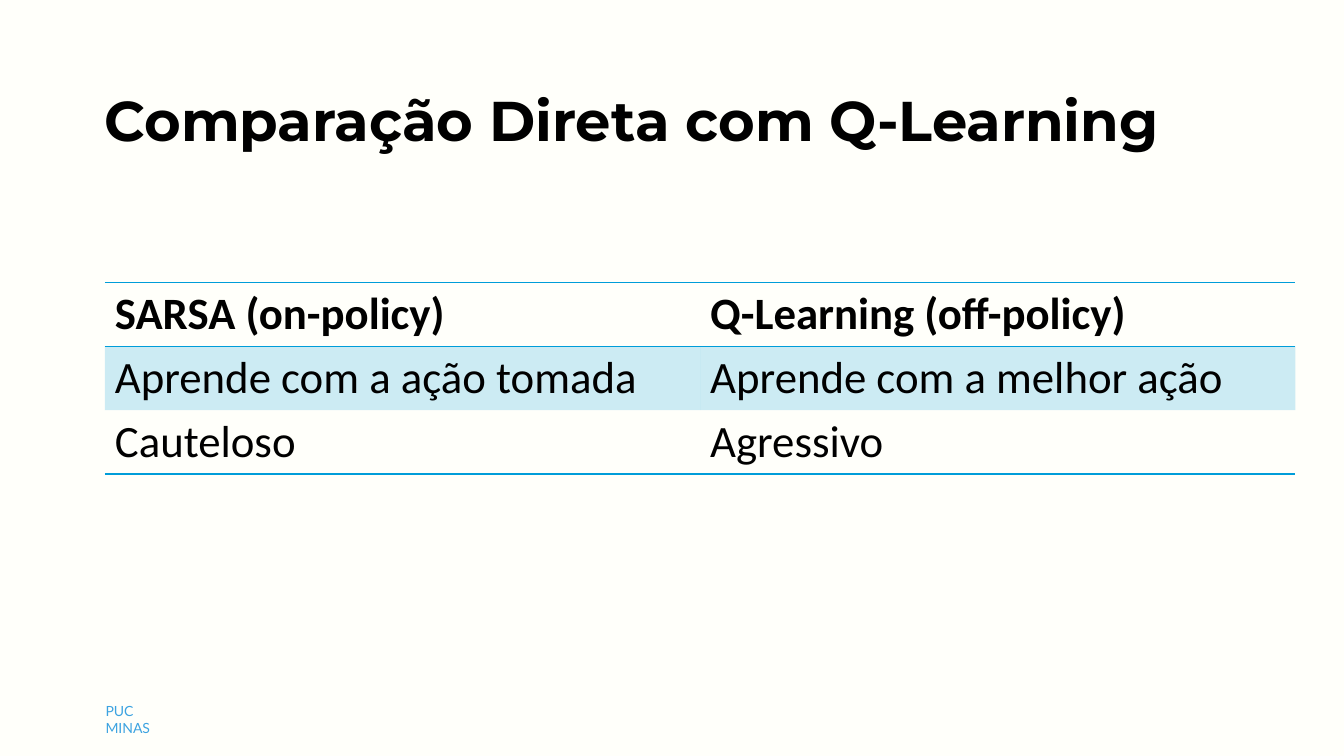
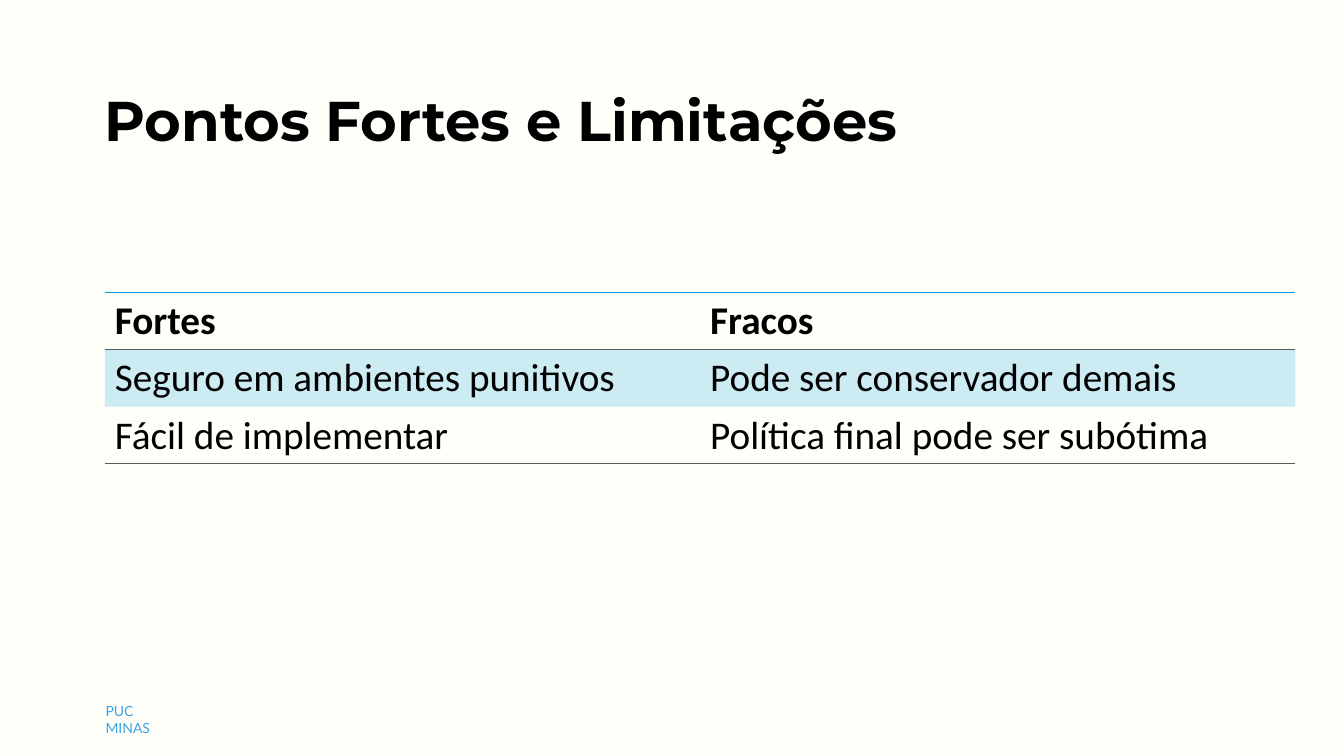
import pptx
import pptx.dml.color
import pptx.enum.text
import pptx.oxml
import pptx.oxml.ns
import pptx.util

Pt = pptx.util.Pt
ANCHOR = pptx.enum.text.MSO_ANCHOR

COLORS = {
    "background": "FFFFFA",
    "text": "000000",
    "accent": "009DD9",
    "footer": "3CA3E1",
    "gray": "595959",
}
TITLE = {"name": "Montserrat", "size": Pt(40), "bold": True}
FOOTER = {"name": "Lato", "size": Pt(10), "bold": False}
PLAIN_TABLE_STYLE = "{2D5ABB26-0587-4C30-8999-92F81FD0307C}"
COLUMN_WIDTH = 425.25
TABLE_LEFT = 74.9
TABLE_MIDDLE = 270


def rgb(color):
    return pptx.dml.color.RGBColor.from_string(COLORS[color])


def write(frame, text, style, color):
    span = frame.paragraphs[0].add_run()
    span.text = text
    for name, value in style.items():
        setattr(span.font, name, value)
    span.font.color.rgb = rgb(color)


def add_text(page, text, place, style, color, margins):
    box = page.shapes.add_textbox(*map(Pt, place))
    frame = box.text_frame
    frame.word_wrap = True
    frame.margin_left = frame.margin_right = Pt(margins[0])
    frame.margin_top = frame.margin_bottom = Pt(margins[1])
    write(frame, text, style, color)


def add_page(deck, title):
    """Add a page with the shared background, footer and title."""
    page = deck.slides.add_slide(deck.slide_layouts[6])
    fill = page.background.fill
    fill.solid()
    fill.fore_color.rgb = rgb("background")
    add_text(page, "PUC MINAS", (75.4, 501.8, 47.5, 24), FOOTER, "footer", (0, 0))
    add_text(page, title, (67.7, 57.6, 836, 55.4), TITLE, "text", (7.2, 3.6))
    return page


def add_border(cell, side, color):
    namespace = pptx.oxml.ns.nsdecls("a")
    cell._tc.get_or_add_tcPr().append(pptx.oxml.parse_xml(
        f'<a:{side} {namespace} w="{Pt(1)}"><a:solidFill>'
        f'<a:srgbClr val="{COLORS[color]}"/></a:solidFill></a:{side}>'))


def shade(cell, opacity):
    """Fill a cell with the accent colour at an opacity in percent."""
    cell.fill.solid()
    cell.fill.fore_color.rgb = rgb("accent")
    color = cell._tc.tcPr.find(".//" + pptx.oxml.ns.qn("a:srgbClr"))
    alpha = color.makeelement(pptx.oxml.ns.qn("a:alpha"), {"val": str(opacity * 1000)})
    color.append(alpha)


def add_comparison(page, rows, size, row_height, anchor, rule):
    """Add a table centred on TABLE_MIDDLE, with ruled header and last row."""
    height = row_height * len(rows)
    table = page.shapes.add_table(
        len(rows), len(rows[0]), Pt(TABLE_LEFT), Pt(TABLE_MIDDLE - height / 2),
        Pt(COLUMN_WIDTH * len(rows[0])), Pt(height)).table
    table.first_row = table.horz_banding = False
    table._tbl.tblPr.find(pptx.oxml.ns.qn("a:tableStyleId")).text = PLAIN_TABLE_STYLE
    for index, texts in enumerate(rows):
        is_header = index == 0
        style = {"name": "Calibri", "size": Pt(size), "bold": is_header}
        for column, text in enumerate(texts):
            cell = table.cell(index, column)
            cell.vertical_anchor = anchor
            write(cell.text_frame, text, style, "text")
            if is_header:
                add_border(cell, "lnT", "accent")
            if is_header or index == len(rows) - 1:
                add_border(cell, "lnB", rule)
            if index % 2:
                shade(cell, 20)
            else:
                cell.fill.background()


def main():
    deck = pptx.Presentation()
    deck.slide_width, deck.slide_height = Pt(960), Pt(540)

    page = add_page(deck, "Comparação Direta com Q-Learning")
    add_comparison(page, [
        ("SARSA (on-policy)", "Q-Learning (off-policy)"),
        ("Aprende com a ação tomada", "Aprende com a melhor ação"),
        ("Cauteloso", "Agressivo"),
    ], 32, 45.6, ANCHOR.MIDDLE, "accent")

    page = add_page(deck, "Pontos Fortes e Limitações")
    add_comparison(page, [
        ("Fortes", "Fracos"),
        ("Seguro em ambientes punitivos", "Pode ser conservador demais"),
        ("Fácil de implementar", "Política final pode ser subótima"),
    ], 28, 40.8, ANCHOR.TOP, "gray")

    deck.save("out.pptx")


if __name__ == "__main__":
    main()
